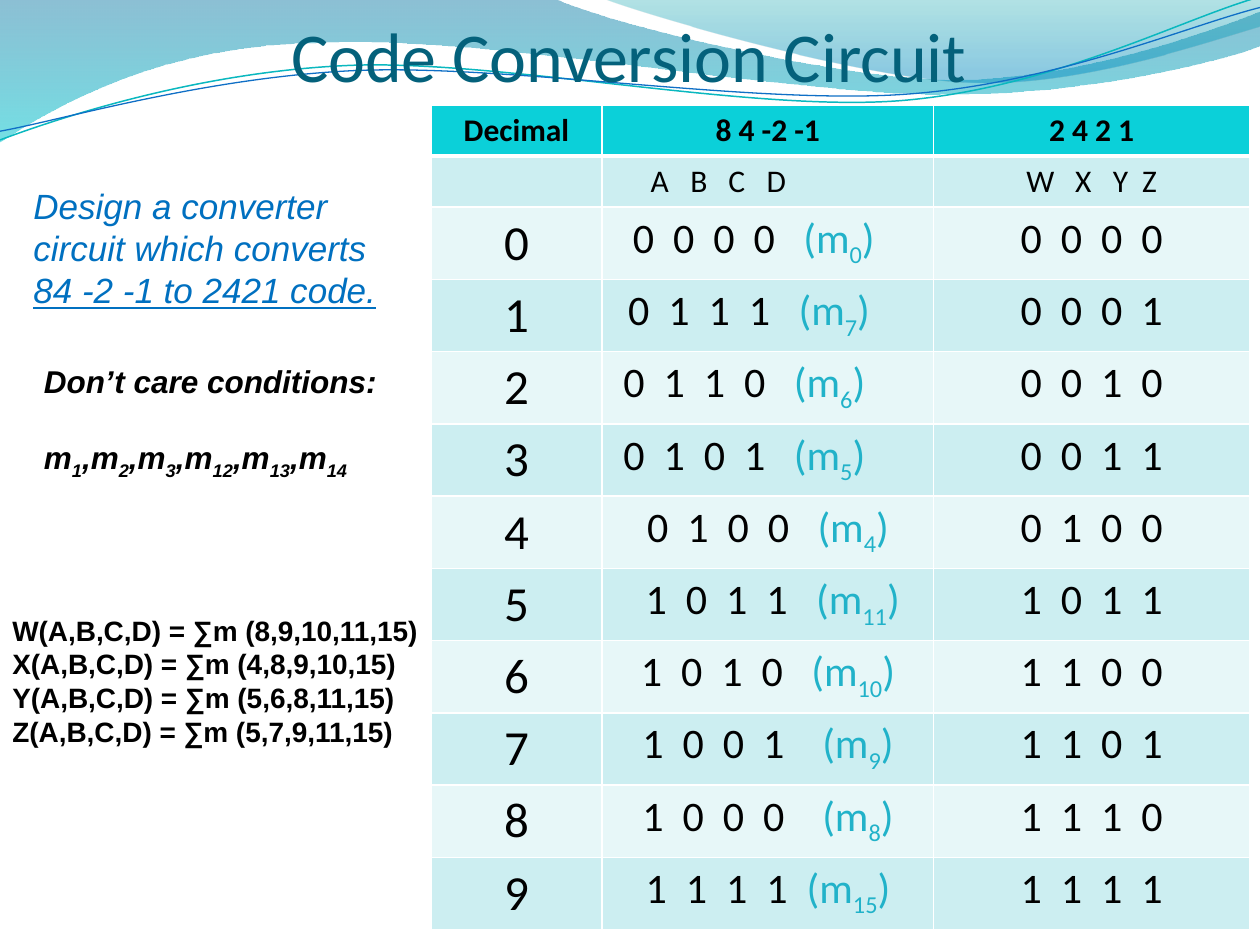
"""Build the Code Conversion Circuit slide."""
import math
from dataclasses import dataclass
from typing import NamedTuple, Optional

from lxml import etree
from pptx import Presentation
from pptx.dml import color
from pptx.enum import text as kinds
from pptx.oxml import ns
from pptx.util import Pt

COLORS = {
    "black": "000000", "white": "FFFFFF", "title": "04617B", "task": "0070C0",
    "minterm": "21B2C9", "header": "0BD0D9", "band": "CCEEF1", "pale": "E7F7F8",
    "deep": "0074A1", "aqua": "00C6CF", "teal": "00A1A9", "blue": "008BBF",
    "upper line": "0AB8BF", "lower line": "0F6FC6",
}
COLUMNS = (97.9, 189.4, 180.7)
DIGIT_STOPS = (23, 46, 69)
TILT = 2.7


class Stop(NamedTuple):
    position: float
    color: str
    alpha: int


@dataclass
class Wave:
    start: tuple
    segments: list
    stops: tuple = ()
    line: Optional[str] = None
    weight: float = 0
    center: Optional[tuple] = None


@dataclass
class CodeRow:
    source: str
    minterm: int
    target: str
    left: float
    label_stop: float = 97.4


WAVES = [
    Wave((0, -0.7), [
        [(317, -0.7)],
        [(342.7, 12.2), (478, 45.4), (546, 45.4)],
        [(614, 45.4), (690, 18.7), (720, 6.5)],
        [(720.7, 26)],
        [(708, 31.7), (626.4, 54.7), (537, 54)],
        [(448, 54), (275, 20), (185, 24.5)],
        [(93, 25), (33, 60), (-0.7, 81.4)],
    ], (Stop(0, "deep", 45), Stop(1, "aqua", 55))),
    Wave((345, -0.7), [
        [(366.5, 8), (491, 44.6), (553.7, 46.8)],
        [(616.3, 49.7), (692, 23), (720, 15)],
        [(720, 0)],
    ], (Stop(0, "teal", 30), Stop(0.8, "blue", 45))),
]
LINES = [
    Wave((0, 80), [
        [(34.6, 67), (113.8, 41), (199.4, 37.4)],
        [(284.4, 33.8), (427, 64), (513.4, 57.6)],
        [(599.8, 51), (675.4, 10.8), (718.6, -1.4)],
    ], line="upper line", weight=0.85, center=(359.3, 41.4)),
    Wave((0, 75), [
        [(33.8, 69), (118, 44), (203.8, 40.3)],
        [(290, 36.7), (429.8, 59.8), (516, 54)],
        [(602, 48.2), (677.5, 15), (720, 4.3)],
    ], line="lower line", weight=0.75, center=(359.6, 42.5)),
]

CODES = [
    CodeRow("0000", 0, "0000", 17.6),
    CodeRow("0111", 7, "0001", 14.9),
    CodeRow("0110", 6, "0010", 12.2),
    CodeRow("0101", 5, "0011", 12.2),
    CodeRow("0100", 4, "0100", 25.7),
    CodeRow("1011", 11, "1011", 24.9),
    CodeRow("1010", 10, "1100", 22.2),
    CodeRow("1001", 9, "1101", 23, 102.8),
    CodeRow("1000", 8, "1110", 23, 102.8),
    CodeRow("1111", 15, "1111", 24.9, 92),
]


def rgb(name: str) -> color.RGBColor:
    """Look up a named colour."""
    return color.RGBColor.from_string(COLORS[name])


def level(point: tuple, center: tuple) -> tuple:
    """Turn a point about a center to undo the tilt of a line."""
    angle = math.radians(TILT)
    across, down = point[0] - center[0], point[1] - center[1]
    return (center[0] + across * math.cos(angle) - down * math.sin(angle),
            center[1] + across * math.sin(angle) + down * math.cos(angle))


def draw_wave(shapes, wave: Wave) -> None:
    """Draw a gradient wave or a thin wavy line."""
    points = [wave.start] + [point for segment in wave.segments for point in segment]
    if wave.center:
        points = [level(point, wave.center) for point in points]
    points = [(Pt(across), Pt(down)) for across, down in points]
    builder = shapes.build_freeform(*points[0], scale=1.0)
    builder.add_line_segments(points[1:], close=bool(wave.stops))
    shape = builder.convert_to_shape()
    shape.shadow.inherit = False
    sides = iter(list(shape.element.spPr.iter(ns.qn("a:lnTo"))))
    for segment in wave.segments:
        steps = [next(sides) for _ in segment]
        if len(steps) == 3:
            bend = etree.Element(ns.qn("a:cubicBezTo"))
            steps[0].addprevious(bend)
            for step in steps:
                bend.append(step[0])
                step.getparent().remove(step)
    if wave.line:
        shape.rotation = 360 - TILT
        shape.fill.background()
        shape.line.color.rgb = rgb(wave.line)
        shape.line.width = Pt(wave.weight)
        return
    shape.line.fill.background()
    shape.fill.gradient()
    shape.fill.gradient_angle = 270
    for target, stop in zip(shape.fill.gradient_stops, wave.stops):
        target.position = stop.position
        target.color.rgb = rgb(stop.color)
    tints = shape.element.spPr.iter(ns.qn("a:srgbClr"))
    for tint, stop in zip(tints, wave.stops):
        etree.SubElement(tint, ns.qn("a:alpha"), val=str(stop.alpha * 1000))


def write(para, content: str, *, size: float, font: str = "Calibri", tint: str = "black",
          bold: bool = False, italic: bool = False, underline: bool = False,
          subscript: bool = False) -> None:
    """Append a formatted span to a paragraph."""
    span = para.add_run()
    span.text = content
    span.font.size, span.font.name = Pt(size), font
    span.font.bold, span.font.italic = bold, italic
    span.font.underline = underline
    span.font.color.rgb = rgb(tint)
    if subscript:
        span.font._element.set("baseline", "-25000")


def add_box(page, left: float, top: float, width: float, height: float, wrap: bool = False):
    """Add a text box and return its frame."""
    frame = page.shapes.add_textbox(Pt(left), Pt(top), Pt(width), Pt(height)).text_frame
    frame.word_wrap = wrap
    return frame


def write_lines(frame, lines: list, **style) -> None:
    """Write one paragraph for each line."""
    for index, line in enumerate(lines):
        para = frame.add_paragraph() if index else frame.paragraphs[0]
        write(para, line, **style)


def add_stops(para, positions: tuple) -> None:
    """Give a paragraph left tab stops."""
    tabs = etree.SubElement(para._p.get_or_add_pPr(), ns.qn("a:tabLst"))
    for position in positions:
        etree.SubElement(tabs, ns.qn("a:tab"), pos=str(Pt(position)), algn="l")


def style_cell(cell, fill: str, bottom: float = 1) -> None:
    """Fill a cell and give it white borders."""
    properties = cell._tc.get_or_add_tcPr()
    for side, weight in (("L", 1), ("R", 1), ("T", 1), ("B", bottom)):
        line = etree.SubElement(properties, ns.qn(f"a:ln{side}"), w=str(Pt(weight)))
        solid = etree.SubElement(line, ns.qn("a:solidFill"))
        etree.SubElement(solid, ns.qn("a:srgbClr"), val=COLORS["white"])
    cell.fill.solid()
    cell.fill.fore_color.rgb = rgb(fill)


def write_centered(cell, content: str, **style) -> None:
    """Write centred text in a cell."""
    para = cell.text_frame.paragraphs[0]
    para.alignment = kinds.PP_ALIGN.CENTER
    write(para, content, **style)


def write_tabbed(cell, symbols: str, left: float, stops: tuple, size: float):
    """Write symbols at tab stops and return the paragraph."""
    cell.margin_left, cell.margin_right = Pt(left), 0
    para = cell.text_frame.paragraphs[0]
    add_stops(para, stops)
    write(para, "\t".join(symbols), size=size)
    return para


def add_code_table(page) -> None:
    """Add the table of both codes."""
    table = page.shapes.add_table(len(CODES) + 2, 3, Pt(246.2), Pt(60), Pt(468), Pt(471.4)).table
    for column, width in zip(table.columns, COLUMNS):
        column.width = Pt(width)
    for index, row in enumerate(table.rows):
        row.height = Pt(29.2 if index < 2 else 41.3)
        fill = "header" if index == 0 else "band" if index % 2 else "pale"
        for cell in row.cells:
            style_cell(cell, fill, bottom=1 if index else 3)
    for column, title in enumerate(("Decimal", "8 4 -2 -1", "2 4 2 1")):
        write_centered(table.cell(0, column), title, size=18, bold=True)
    write_tabbed(table.cell(1, 1), "ABCD", 27.8, (22.6, 44.4, 66.2), 18)
    write_tabbed(table.cell(1, 2), "WXYZ", 53, (27.9, 49.5, 66.2), 18)
    for row, code in enumerate(CODES, 2):
        write_centered(table.cell(row, 0), str(row - 2), size=28)
        para = write_tabbed(table.cell(row, 1), code.source, code.left,
                            (*DIGIT_STOPS, code.label_stop), 24)
        for part in ("\t(m", str(code.minterm), ")"):
            write(para, part, size=24, tint="minterm", subscript=part.isdigit())
        write_tabbed(table.cell(row, 2), code.target, 49.8, DIGIT_STOPS, 24)


def main() -> None:
    """Build and save the deck."""
    deck = Presentation()
    deck.slide_width, deck.slide_height = Pt(720), Pt(540)
    page = deck.slides.add_slide(deck.slide_layouts[6])
    for wave in WAVES:
        draw_wave(page.shapes, wave)
    group = page.shapes.add_group_shape()
    for wave in LINES:
        draw_wave(group.shapes, wave)

    task = add_box(page, 12, 102, 217.5, 80)
    style = dict(size=20, font="Arial", tint="task", italic=True)
    write_lines(task, ["Design a converter", "circuit which converts"], **style)
    write(task.add_paragraph(), "84 -2 -1 to 2421 code.", underline=True, **style)
    title = add_box(page, 52.6, -23.8, 613.4, 79.2, wrap=True)
    title.vertical_anchor = kinds.MSO_ANCHOR.BOTTOM
    title.margin_left = title.margin_right = title.margin_bottom = 0
    write_lines(title, ["Code Conversion Circuit"], size=40, tint="title")
    title.paragraphs[0].alignment = kinds.PP_ALIGN.CENTER
    add_code_table(page)

    conditions = add_box(page, 18, 203.4, 206.6, 72.7)
    style = dict(size=18, font="Arial", bold=True, italic=True)
    write_lines(conditions, ["Don’t care conditions:"], **style)
    terms = conditions.add_paragraph()
    terms.space_before = Pt(21.6)
    for index, number in enumerate((1, 2, 3, 12, 13, 14)):
        write(terms, ",m" if index else "m", **style)
        write(terms, str(number), subscript=True, **style)

    functions = add_box(page, 0, 309, 249.8, 181.4)
    functions.margin_top = Pt(41.5)
    sums = {"W": "8,9,10,11,15", "X": "4,8,9,10,15", "Y": "5,6,8,11,15", "Z": "5,7,9,11,15"}
    write_lines(functions, [f"{name}(A,B,C,D) = ∑m ({terms})" for name, terms in sums.items()],
                size=16, font="Arial", bold=True)
    deck.save("out.pptx")


if __name__ == "__main__":
    main()
